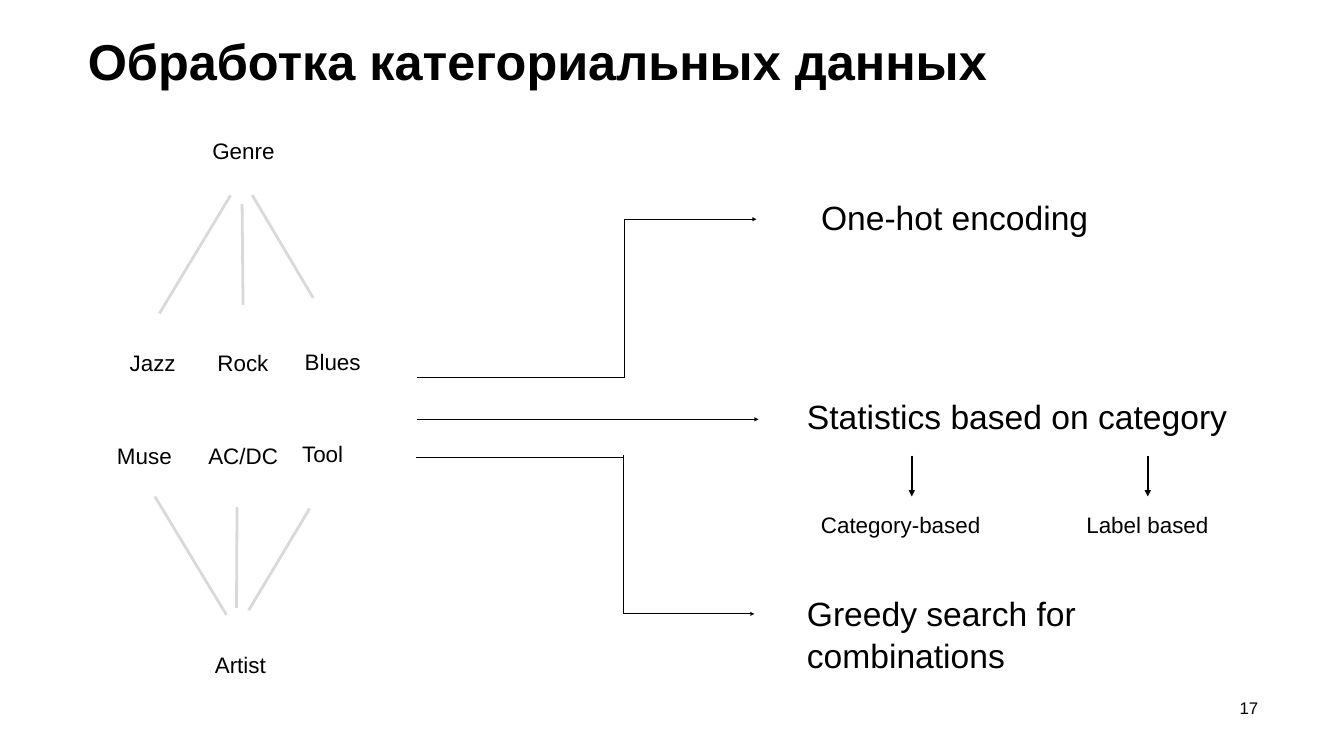
from typing import NamedTuple

from lxml.etree import SubElement
from pptx import Presentation
from pptx.dml.color import RGBColor
from pptx.enum.shapes import MSO_CONNECTOR
from pptx.enum.text import MSO_ANCHOR as ANCHOR, MSO_AUTO_SIZE as AUTO, PP_ALIGN as ALIGN
from pptx.oxml.ns import qn
from pptx.util import Inches, Pt

FONT = "Arial"
BLACK, GRAY = "000000", "D9D9D9"


class Label(NamedTuple):
    text: str
    x: float
    y: float
    w: float
    h: float = 0.84
    size: int = 32
    wrap: bool = True
    align: ALIGN = ALIGN.LEFT
    inset: float = 0.04
    spacing: int | None = 60


class Line(NamedTuple):
    x1: float
    y1: float
    x2: float
    y2: float
    color: str = BLACK
    width: float = 1.5
    arrow: bool = False


def rgb(color: str) -> RGBColor:
    return RGBColor.from_string(color)


def style_text(p, size: int, bold: bool = False) -> None:
    for r in p.runs:
        r.font.name, r.font.size, r.font.bold = FONT, Pt(size), bold
        r.font.color.rgb = rgb(BLACK)


def set_frame(tf, inset: float, anchor: ANCHOR, wrap: bool) -> None:
    tf.margin_left = tf.margin_right = tf.margin_top = tf.margin_bottom = Inches(inset)
    tf.vertical_anchor, tf.word_wrap = anchor, wrap


def add_label(shapes, label: Label) -> None:
    sp = shapes.add_textbox(*map(Inches, (label.x, label.y, label.w, label.h)))
    tf = sp.text_frame
    set_frame(tf, label.inset, ANCHOR.MIDDLE, label.wrap)
    tf.auto_size = AUTO.SHAPE_TO_FIT_TEXT
    p = tf.paragraphs[0]
    p.text, p.alignment = label.text, label.align
    if label.spacing:
        p.line_spacing = Pt(label.spacing)
    style_text(p, label.size)


def add_line(shapes, line: Line) -> None:
    cxn = shapes.add_connector(MSO_CONNECTOR.STRAIGHT, *map(Inches, line[:4]))
    cxn.line.color.rgb = rgb(line.color)
    cxn.line.width = Pt(line.width)
    if line.arrow:
        SubElement(cxn.line._get_or_add_ln(), qn("a:tailEnd"), type="triangle")
    SubElement(cxn._element.spPr, qn("a:effectLst"))


def add_tree(slide, labels: list[Label], branches: list[tuple]) -> None:
    group = slide.shapes.add_group_shape()
    for branch in branches:
        add_line(group.shapes, Line(*branch, GRAY, 4))
    for label in labels:
        add_label(group.shapes, label)


def main() -> None:
    prs = Presentation()
    prs.slide_width, prs.slide_height = Inches(26.65), Inches(15)
    slide = prs.slides.add_slide(prs.slide_layouts[5])
    shapes = slide.shapes

    # Title
    title = shapes.title
    title.left, title.top, title.width, title.height = map(Inches, (1.74, 0.6, 23.22, 1.59))
    tf = title.text_frame
    tf.text = "Обработка категориальных данных"
    set_frame(tf, 0, ANCHOR.TOP, True)
    tf.auto_size = AUTO.NONE
    tf.paragraphs[0].alignment = ALIGN.LEFT
    style_text(tf.paragraphs[0], 72, bold=True)

    # Category trees
    add_tree(
        slide,
        [Label("Genre", 4.17, 2.42, 1.96), Label("Jazz", 2.53, 6.62, 2.03),
         Label("Rock", 4.27, 6.62, 2.28), Label("Blues", 6, 6.61, 3.41)],
        [(4.57, 3.88, 3.16, 6.22), (4.8, 4.05, 4.82, 6.05), (5, 3.87, 6.21, 5.91)],
    )
    add_tree(
        slide,
        [Label("Muse", 2.28, 8.47, 2.03), Label("AC/DC", 4.09, 8.47, 2.28),
         Label("Tool", 5.95, 8.43, 2.47), Label("Artist", 4.22, 12.61, 1.96)],
        [(4.49, 12.2, 3.07, 9.85), (4.69, 12.06, 4.7, 10.06), (4.93, 12.11, 6.14, 10.09)],
    )

    # Encoding methods, their variants and the page number
    for label in (
        Label("One-hot encoding", 16.24, 3.85, 7.31, 0.89, 48),
        Label("Statistics based on category", 15.96, 7.8, 8.44, 0.89, 48, wrap=False),
        Label("Greedy search for combinations", 15.96, 11.71, 7.15, 1.72, 48),
        Label("Category-based", 15.5, 9.84, 4.72, align=ALIGN.CENTER),
        Label("Label based", 21.5, 9.84, 2.52, wrap=False),
        Label("17", 24.45, 13.86, 0.5, 0.38, 24, False, ALIGN.RIGHT, 0, None),
    ):
        add_label(shapes, label)

    # Paths from the categories to the methods
    for line in (
        Line(8.27, 7.49, 12.39, 7.49),
        Line(12.39, 4.35, 12.39, 7.49),
        Line(12.39, 4.35, 15, 4.35, arrow=True),
        Line(8.27, 8.32, 15.04, 8.32, arrow=True),
        Line(8.24, 9.07, 12.36, 9.07),
        Line(12.36, 9.03, 12.36, 12.18),
        Line(12.36, 12.18, 14.96, 12.18, arrow=True),
    ):
        add_line(shapes, line)

    # Arrows from statistics to its variants
    for x in (18.08, 22.76):
        add_line(shapes, Line(x, 9.04, x, 9.85, width=3, arrow=True))

    prs.save("out.pptx")


if __name__ == "__main__":
    main()
